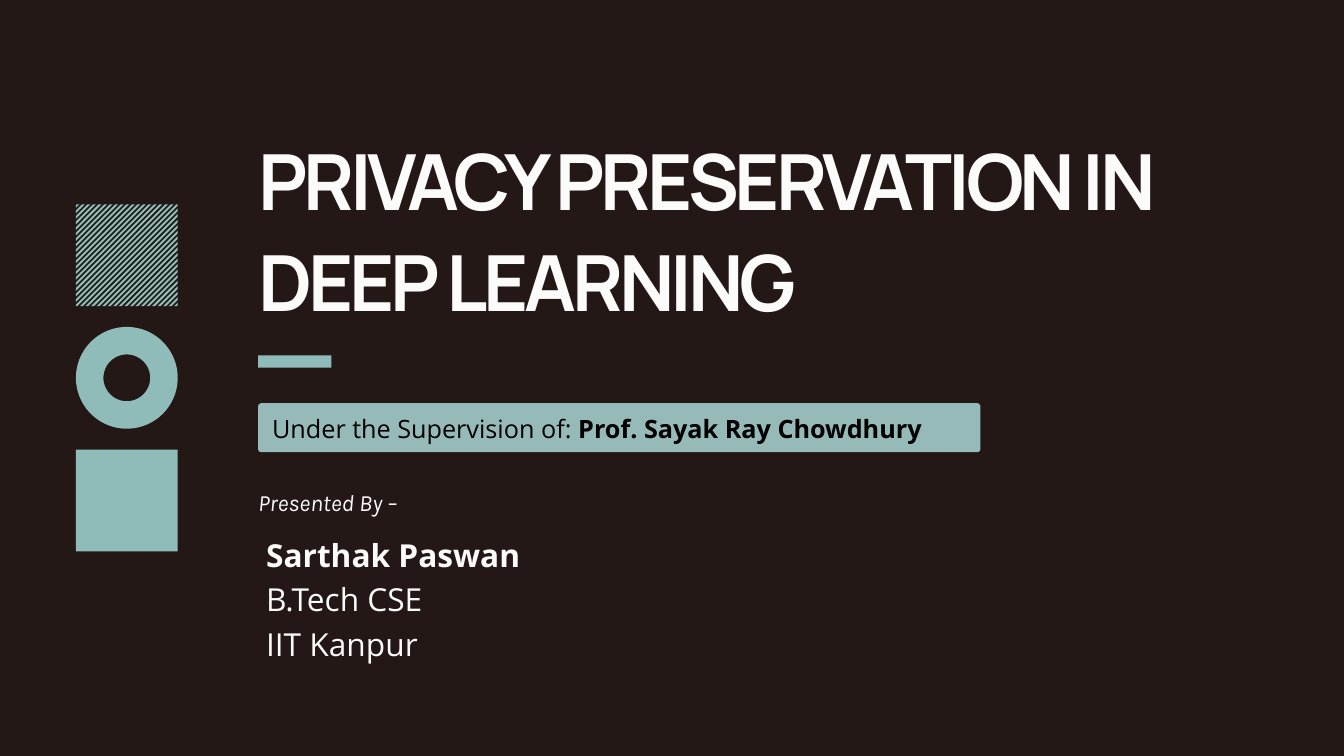
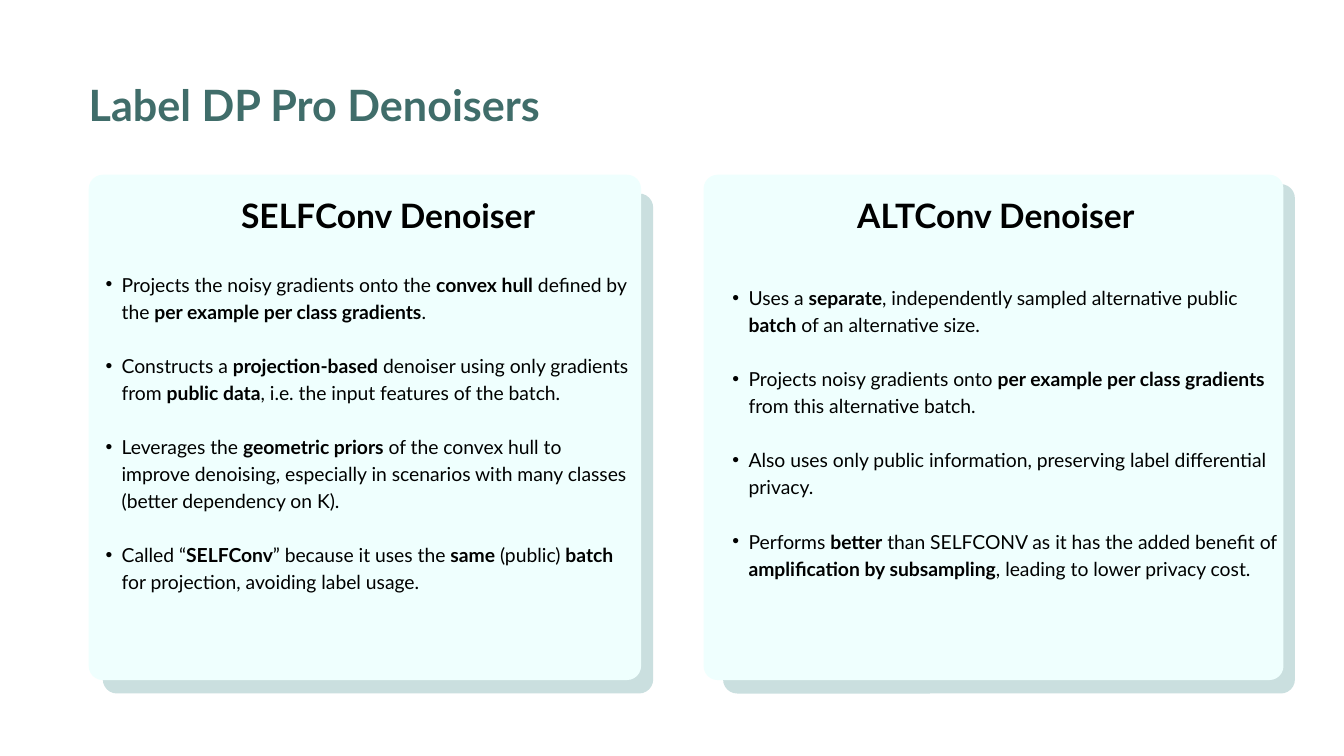
from lxml.etree import SubElement
from pptx import Presentation
from pptx.dml.color import RGBColor
from pptx.enum.shapes import MSO_SHAPE
from pptx.enum.text import MSO_AUTO_SIZE, PP_ALIGN
from pptx.oxml.ns import qn
from pptx.util import Inches, Pt

WIDTH, HEIGHT = Inches(20), Inches(11.25)
COLUMN, ROW = WIDTH / 20, HEIGHT / 11.25
COLORS = {
    "night": "231815", "paper": "FFFFFF", "ivory": "FBFBFA", "ink": "000000",
    "teal": "8FBBB8", "mint": "AAD7D4", "pine": "406D6A",
    "card": "EFFFFE", "card_shade": "CADFDF",
}
TITLE_LEFT = 3.84
MOTIF_LEFT, MOTIF_SIDE = 1.13, 1.515
STRIPE_PITCH, STRIPE_COUNT = 0.0825, 18
CARD_RADIUS = 0.21

SELF_POINTS = [
    "Projects the noisy gradients onto the **convex hull** defined by the "
    "**per example per class gradients**.",
    "Constructs a **projection-based** denoiser using only gradients from "
    "**public data**, i.e. the input features of the batch.",
    "Leverages the **geometric priors** of the convex hull to improve denoising, "
    "especially in scenarios with many classes (better dependency on K).",
    "Called “**SELFConv**” because it uses the **same** (public) **batch** "
    "for projection, avoiding label usage.",
]
ALT_POINTS = [
    "Uses a **separate**, independently sampled alternative public **batch** "
    "of an alternative size.",
    "Projects noisy gradients onto **per example per class gradients** "
    "from this alternative batch.",
    "Also uses only public information, preserving label differential privacy.",
    "Performs **better** than SELFCONV as it has the added benefit of "
    "**amplification by subsampling**, leading to lower privacy cost.",
]


def grid(left, top, width, height):
    """Turn columns and rows into slide lengths."""
    return [round(n * unit) for n, unit in
            zip((left, top, width, height), (COLUMN, ROW, COLUMN, ROW))]


def rgb(name):
    """Look up a palette colour."""
    return RGBColor.from_string(COLORS[name])


def paint(shape, color):
    """Give a shape a flat fill without line or shadow."""
    shape.shadow.inherit = False
    shape.fill.solid()
    shape.fill.fore_color.rgb = rgb(color)
    shape.line.fill.background()
    return shape


def add_block(slide, kind, box, color):
    """Add a flat preset shape on the grid."""
    return paint(slide.shapes.add_shape(kind, *grid(*box)), color)


def add_rounded(slide, box, color, radius):
    """Add a rounded panel with a corner radius in grid units."""
    panel = add_block(slide, MSO_SHAPE.ROUNDED_RECTANGLE, box, color)
    panel.adjustments[0] = radius / min(box[2:])
    return panel


def add_text_area(slide, box):
    """Add a wrapping text box without margins."""
    frame = slide.shapes.add_textbox(*grid(*box)).text_frame
    frame.margin_left = frame.margin_right = frame.margin_top = frame.margin_bottom = 0
    frame.word_wrap = True
    frame.auto_size = MSO_AUTO_SIZE.SHAPE_TO_FIT_TEXT
    return frame


def write(frame, text, font, size, leading, color, italic=None, tracking=None,
          align=None, before=0, indent=0):
    """Write one paragraph, with bold runs between double asterisks."""
    first = not frame.paragraphs[0].runs
    paragraph = frame.paragraphs[0] if first else frame.add_paragraph()
    paragraph.line_spacing, paragraph.space_before = Pt(leading), Pt(before)
    paragraph.alignment = align
    if indent:
        paragraph._p.get_or_add_pPr().set("marL", str(Inches(indent)))
    for index, part in enumerate(text.split("**")):
        if not part:
            continue
        run = paragraph.add_run()
        run.text = part
        run.font.name, run.font.size = font, Pt(size)
        run.font.bold, run.font.italic = index % 2 == 1, italic
        run.font.color.rgb = rgb(color)
        if tracking:
            run._r.get_or_add_rPr().set("spc", str(round(tracking * 100)))
    return paragraph


def add_bullets(slide, box, points):
    """Add a bulleted list with one line of space between points."""
    frame = add_text_area(slide, box)
    for index, point in enumerate(points):
        paragraph = write(frame, point, "Lato", 20.7, 29, "ink",
                          before=29 if index else 0, indent=0.49)
        properties = paragraph._p.get_or_add_pPr()
        properties.set("indent", str(Inches(-0.24)))
        SubElement(properties, qn("a:buFont")).set("typeface", "Arial")
        SubElement(properties, qn("a:buChar")).set("char", "•")


def stripe_outline(center, left, top):
    """Return the outline of one diagonal stripe clipped to the square."""
    offsets = [center - STRIPE_PITCH / 4, center, center + STRIPE_PITCH / 4]
    starts = [(max(-o, 0), max(o, 0)) for o in offsets]
    ends = [(MOTIF_SIDE - y, MOTIF_SIDE - x) for x, y in starts]
    return [(round((left + x) * COLUMN), round((top + y) * ROW))
            for x, y in starts + ends[::-1]]


def add_striped_square(slide, left, top):
    """Add a square hatched with equally spaced diagonals."""
    builder = None
    for step in range(-STRIPE_COUNT, STRIPE_COUNT + 1):
        start, *others = stripe_outline(step * STRIPE_PITCH, left, top)
        if builder is None:
            builder = slide.shapes.build_freeform(*start)
        else:
            builder.move_to(*start)
        builder.add_line_segments(others, close=True)
    paint(builder.convert_to_shape(), "teal").rotation = 270


def add_motif(slide):
    """Stack the hatched square, ring and solid square."""
    tops = [3.04 + row * 1.825 for row in range(3)]
    ring, square = [(MOTIF_LEFT, top, MOTIF_SIDE, MOTIF_SIDE) for top in tops[1:]]
    add_striped_square(slide, MOTIF_LEFT, tops[0])
    add_block(slide, MSO_SHAPE.DONUT, ring, "teal").adjustments[0] = 0.27
    add_block(slide, MSO_SHAPE.RECTANGLE, square, "teal")


def add_card(slide, shade, front, heading, heading_box, points, points_box):
    """Add a card with its offset shade, heading and bullets."""
    add_rounded(slide, shade, "card_shade", CARD_RADIUS)
    add_rounded(slide, front, "card", CARD_RADIUS)
    write(add_text_area(slide, heading_box), f"**{heading}**", "Lato", 36, 50.4,
          "ink", align=PP_ALIGN.CENTER)
    add_bullets(slide, points_box, points)


def new_slide(deck, background):
    """Add a blank slide with a flat background."""
    slide = deck.slides.add_slide(deck.slide_layouts[6])
    slide.background.fill.solid()
    slide.background.fill.fore_color.rgb = rgb(background)
    return slide


def build_cover(deck):
    """Build the opening slide."""
    slide = new_slide(deck, "night")
    banner = add_rounded(slide, (TITLE_LEFT, 6, 10.75, 0.73), "mint", 0.05)
    tint = banner._element.spPr.find(".//" + qn("a:srgbClr"))
    SubElement(tint, qn("a:alpha")).set("val", "85000")
    add_motif(slide)
    write(add_text_area(slide, (TITLE_LEFT, 1.87, 14.83, 3.02)),
          "**PRIVACY PRESERVATION IN DEEP LEARNING**", "Manrope", 82.9, 107.8,
          "ivory", tracking=-4.5)
    write(add_text_area(slide, (4.05, 6.04, 14.83, 0.54)),
          "Under the Supervision of: **Prof. Sayak Ray Chowdhury**",
          "Open Sans", 27, 40.5, "ink")
    add_block(slide, MSO_SHAPE.RECTANGLE, (TITLE_LEFT, 5.29, 1.09, 0.18), "teal")
    presenter = add_text_area(slide, (TITLE_LEFT, 7.2, 5.38, 2.61))
    write(presenter, "Presented By –", "Karla", 25, 35, "ivory", italic=True)
    for line, gap in (("**Sarthak Paswan**", 14), ("B.Tech CSE", 0), ("IIT Kanpur", 0)):
        write(presenter, line, "Open Sans", 33.9, 47.5, "ivory", before=gap, indent=0.12)


def build_denoisers(deck):
    """Build the comparison of the two denoisers."""
    slide = new_slide(deck, "paper")
    write(add_text_area(slide, (1.32, 1.03, 7.43, 0.86)),
          "**Label DP Pro Denoisers**", "Lato", 46.2, 64.8, "pine")
    add_card(slide, (1.53, 2.88, 8.19, 7.44), (1.32, 2.6, 8.22, 7.52),
             "SELFConv Denoiser", (3.3, 2.8, 4.95, 0.67),
             SELF_POINTS, (1.32, 4, 8.12, 6.32))
    add_card(slide, (10.76, 2.74, 8.51, 7.58), (10.47, 2.6, 8.63, 7.52),
             "ALTConv Denoiser", (12.56, 2.8, 4.52, 0.67),
             ALT_POINTS, (10.65, 4.2, 8.45, 5.52))


def main():
    """Build and save the deck."""
    deck = Presentation()
    deck.slide_width, deck.slide_height = WIDTH, HEIGHT
    build_cover(deck)
    build_denoisers(deck)
    deck.save("out.pptx")


if __name__ == "__main__":
    main()
